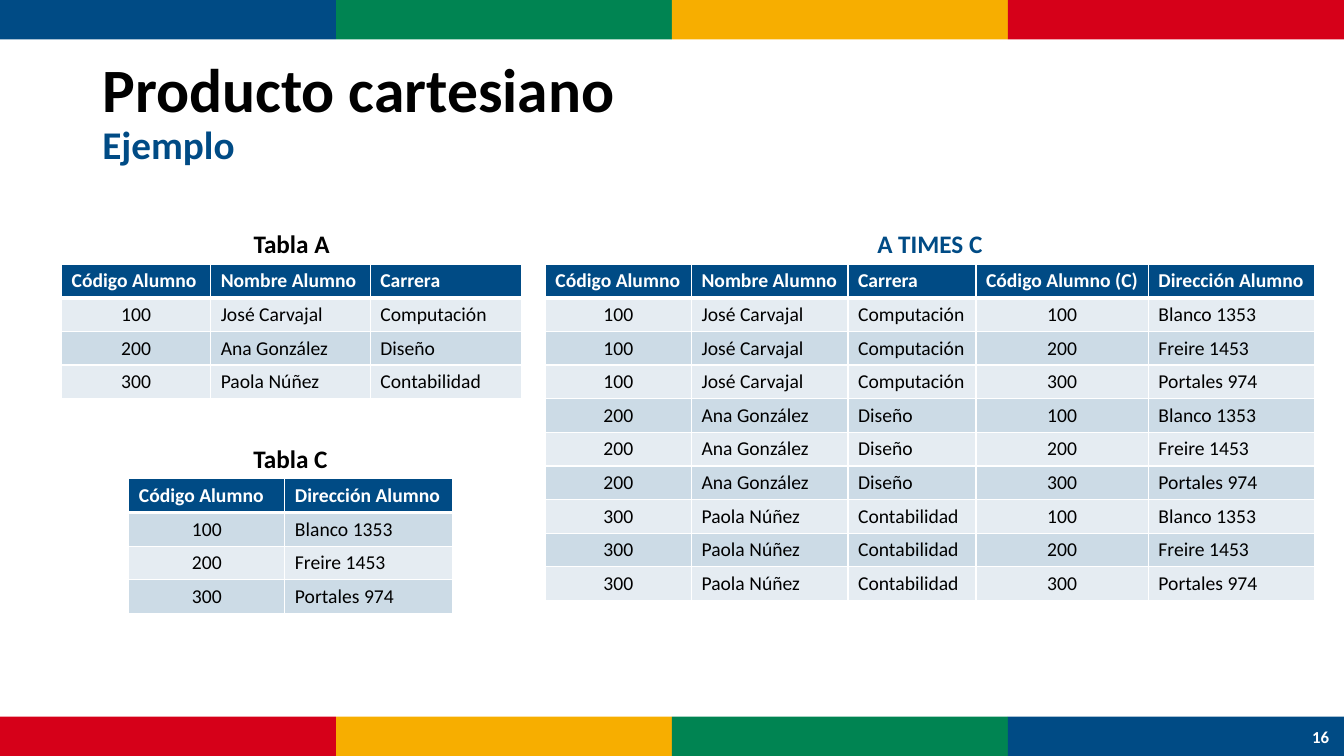
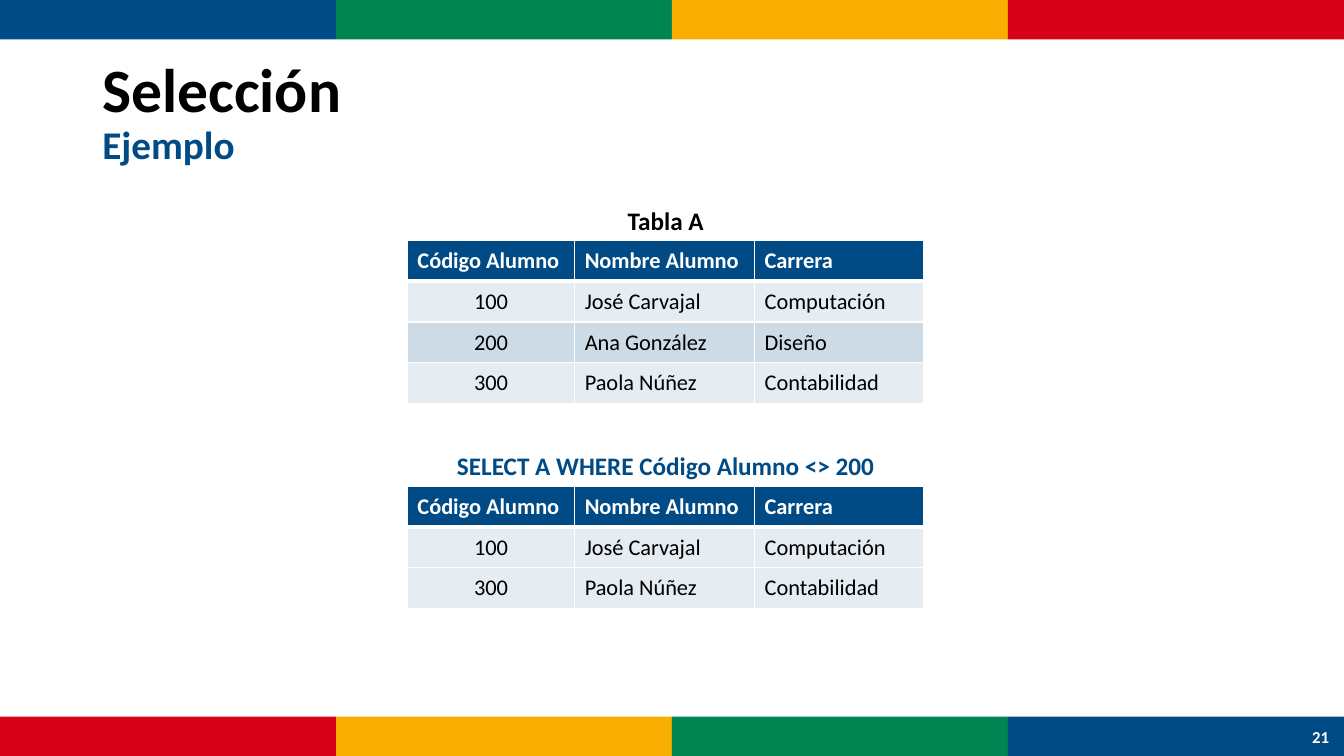
from itertools import cycle, product

from lxml.etree import SubElement
from pptx import Presentation
from pptx.dml.color import RGBColor
from pptx.enum.shapes import MSO_SHAPE
from pptx.enum.text import MSO_ANCHOR, PP_ALIGN
from pptx.oxml import parse_xml
from pptx.oxml.ns import nsdecls, qn
from pptx.util import Pt

# Shared style
BLUE = RGBColor(0x00, 0x4B, 0x85)
GREEN = RGBColor(0x00, 0x84, 0x52)
YELLOW = RGBColor(0xF7, 0xAE, 0x00)
RED = RGBColor(0xD6, 0x00, 0x19)
BLACK = RGBColor(0x00, 0x00, 0x00)
WHITE = RGBColor(0xFF, 0xFF, 0xFF)
BAND_COLORS = [BLUE, GREEN, YELLOW, RED]
FONT = "Calibri"
PAGE_WIDTH, PAGE_HEIGHT = 960, 540
BAND_HEIGHT = 28.2
CAPTION_HEIGHT = 29
LIGHT, DARK = 10, 20  # opacity of the row tints, in percent

# Relations
STUDENT_HEADER = ("Código Alumno", "Nombre Alumno", "Carrera")
STUDENTS = [
    ("100", "José Carvajal", "Computación"),
    ("200", "Ana González", "Diseño"),
    ("300", "Paola Núñez", "Contabilidad"),
]
ADDRESS_HEADER = ("Código Alumno", "Dirección Alumno")
ADDRESSES = [
    ("100", "Blanco 1353"),
    ("200", "Freire 1453"),
    ("300", "Portales 974"),
]


def style_font(font, size, color, bold=True):
    font.name = FONT
    font.size = Pt(size)
    font.bold = bold
    font.color.rgb = color


def add_text_box(page, left, top, width, height):
    box = page.shapes.add_textbox(Pt(left), Pt(top), Pt(width), Pt(height))
    box.text_frame.word_wrap = True
    box.text_frame.vertical_anchor = MSO_ANCHOR.MIDDLE
    return box.text_frame.paragraphs[0]


def add_label(page, left, top, width, height, text, size, color):
    para = add_text_box(page, left, top, width, height)
    para.text = text
    para.alignment = PP_ALIGN.CENTER
    style_font(para.font, size, color)


def add_band(page, top, colors):
    width = PAGE_WIDTH / len(colors)
    for index, color in enumerate(colors):
        block = page.shapes.add_shape(
            MSO_SHAPE.RECTANGLE, Pt(index * width), Pt(top), Pt(width), Pt(BAND_HEIGHT))
        block.shadow.inherit = False
        block.fill.solid()
        block.fill.fore_color.rgb = color
        block.line.fill.background()


def add_title(page, title, subtitle):
    para = add_text_box(page, 66, 29, 828, 104)
    para.line_spacing = 0.9
    heading = para.add_run()
    heading.text = title
    style_font(heading.font, 44, BLACK)
    para.add_line_break()
    span = para.add_run()
    span.text = subtitle
    style_font(span.font, 28, BLUE)


def add_page(deck, title, number):
    page = deck.slides.add_slide(deck.slide_layouts[6])
    bottom = PAGE_HEIGHT - BAND_HEIGHT
    add_band(page, 0, BAND_COLORS)
    add_band(page, bottom, BAND_COLORS[::-1])
    add_label(page, 926.6, bottom, 33.4, 29, number, 12, WHITE)
    add_title(page, title, "Ejemplo")
    return page


def set_borders(cell, top, bottom):
    widths = {"lnL": 1, "lnR": 1, "lnT": top, "lnB": bottom}
    properties = cell._tc.get_or_add_tcPr()
    for index, (side, width) in enumerate(widths.items()):
        properties.insert(index, parse_xml(
            f'<a:{side} {nsdecls("a")} w="{Pt(width)}"><a:solidFill>'
            f'<a:srgbClr val="{WHITE}"/></a:solidFill></a:{side}>'))


def fill_cell(cell, text, size, tint=None):
    """Style one cell; a cell without a tint belongs to the header."""
    header = tint is None
    cell.text = text
    cell.vertical_anchor = MSO_ANCHOR.MIDDLE
    para = cell.text_frame.paragraphs[0]
    para.alignment = PP_ALIGN.CENTER if text.isdigit() else PP_ALIGN.LEFT
    style_font(para.font, size, WHITE if header else BLACK, header)
    cell.fill.solid()
    cell.fill.fore_color.rgb = BLUE
    if not header:
        color = cell._tc.tcPr.find(qn("a:solidFill")).find(qn("a:srgbClr"))
        SubElement(color, qn("a:alpha"), val=str(tint * 1000))


def add_relation(page, left, top, widths, row_height, caption, header, rows,
                 size, caption_color=BLACK, tints=(LIGHT, DARK)):
    """Place a table at (left, top) with its caption right above."""
    width = sum(widths)
    add_label(page, left, top - CAPTION_HEIGHT, width, CAPTION_HEIGHT,
              caption, 18, caption_color)
    height = row_height * (len(rows) + 1)
    table = page.shapes.add_table(
        len(rows) + 1, len(widths), Pt(left), Pt(top), Pt(width), Pt(height)).table
    table.horz_banding = False
    for column, column_width in zip(table.columns, widths):
        column.width = Pt(column_width)
    row_tints = [None] + [tint for tint, _ in zip(cycle(tints), rows)]
    for index, (values, tint) in enumerate(zip([header, *rows], row_tints)):
        table.rows[index].height = Pt(row_height)
        for cell, text in zip(table.rows[index].cells, values):
            fill_cell(cell, text, size, tint)
            set_borders(cell, 3 if index == 1 else 1, 3 if index == 0 else 1)


def build_product_page(deck):
    page = add_page(deck, "Producto cartesiano", "16")
    add_relation(page, 44, 188.6, [106.5, 114, 108], 24, "Tabla A",
                 STUDENT_HEADER, STUDENTS, 14)
    add_relation(page, 92, 342, [111.5, 119.5], 24, "Tabla C",
                 ADDRESS_HEADER, ADDRESSES, 14, tints=(DARK, LIGHT))
    pairs = [student + address for student, address in product(STUDENTS, ADDRESSES)]
    add_relation(page, 389.5, 188.6, [104.4, 111.8, 91.4, 123.2, 118.6], 24, "A TIMES C",
                 STUDENT_HEADER + ("Código Alumno (C)", "Dirección Alumno"),
                 pairs, 14, BLUE)


def build_selection_page(deck):
    page = add_page(deck, "Selección", "21")
    left, widths, row_height = 291, [119.5, 128.5, 121], 29.2
    add_relation(page, left, 171.6, widths, row_height, "Tabla A",
                 STUDENT_HEADER, STUDENTS, 16)
    selected = [student for student in STUDENTS if student[0] != "200"]
    add_relation(page, left, 347.2, widths, row_height,
                 "SELECT A WHERE Código Alumno <> 200",
                 STUDENT_HEADER, selected, 16, BLUE, tints=(LIGHT,))


def main():
    deck = Presentation()
    deck.slide_width = Pt(PAGE_WIDTH)
    deck.slide_height = Pt(PAGE_HEIGHT)
    build_product_page(deck)
    build_selection_page(deck)
    deck.save("out.pptx")


if __name__ == "__main__":
    main()
